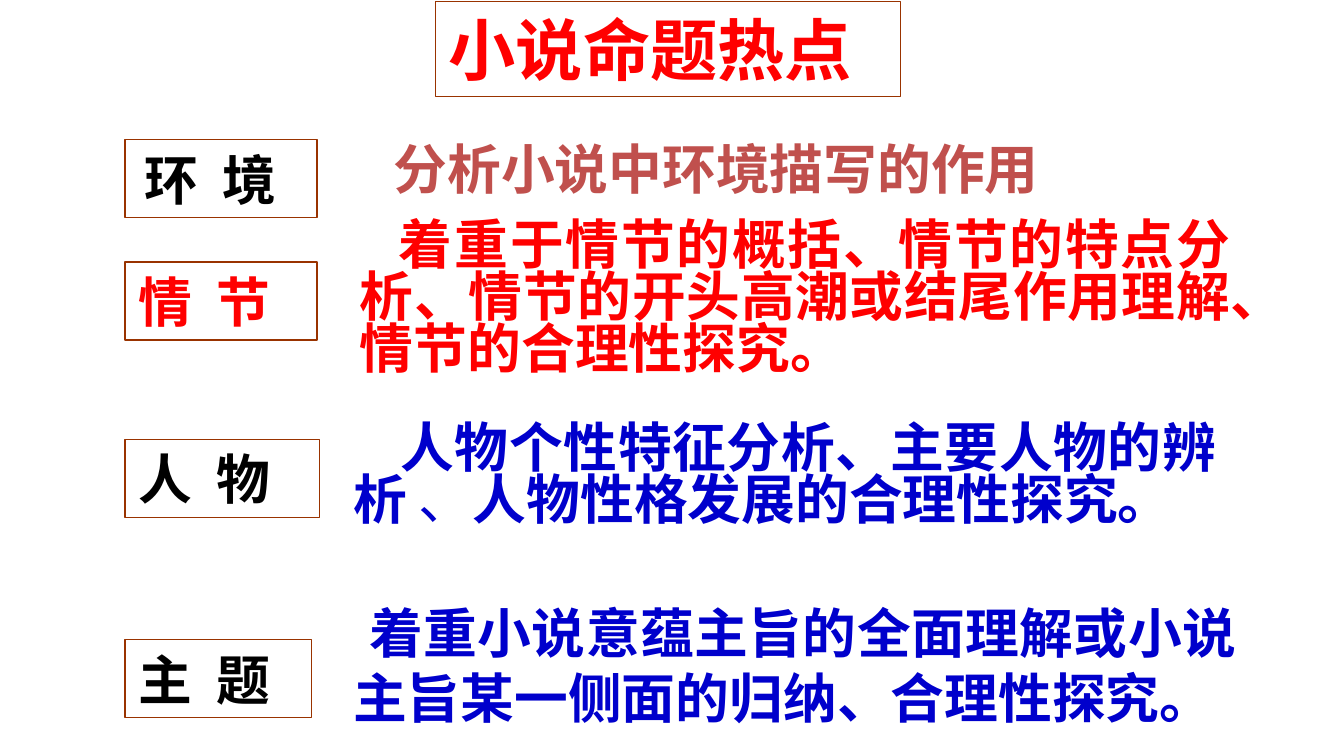
from dataclasses import dataclass

from lxml.etree import SubElement
from pptx import Presentation
from pptx.dml.color import RGBColor
from pptx.enum.shapes import MSO_SHAPE
from pptx.enum.text import MSO_ANCHOR as Anchor, PP_ALIGN as Align
from pptx.oxml.ns import qn
from pptx.util import Inches, Pt


@dataclass(frozen=True)
class Theme:
    latin: str = "Arial"
    chinese: str = "Noto Sans CJK SC"
    title_size: float = 36
    text_size: float = 28.8
    border_width: float = 0.75
    paper: str = "FFFFFF"
    border: str = "993300"
    black: str = "000000"
    red: str = "FF0000"
    rose: str = "C0504D"
    blue: str = "0000CC"


THEME = Theme()
WIDTH = 10
HEIGHT = WIDTH * 9 / 16
LABEL_LEFT, LABEL_HEIGHT = 0.93, 0.58

# Content: boxes are (left, top, width, height); runs are (text, bold)
TITLE = ("小说命题热点", (3.24, 0.01, 3.46, 0.71))

# Labels: text, colour, top, width, first-line indent
LABELS = [
    ("环  境", THEME.black, 1.04, 1.43, 0.05),
    ("情  节", THEME.red, 1.95, 1.43, 0),
    ("人  物", THEME.black, 3.27, 1.45, 0),
    ("主  题", THEME.black, 4.76, 1.39, 0),
]

# Explanations: runs, colour, box, first-line indent, line spacing
EXPLANATIONS = [
    ([("分析小说中环境描写的作用", True)],
     THEME.rose, (2.67, 0.96, 5.38, 0.58), 0.16, 1),
    ([("着重于情节的概括、情节的特点分析、情节的开头高潮或结尾作用理解、情节的合理性探究。", True)],
     THEME.red, (2.58, 1.61, 6.68, 1.26), 0.29, 0.8),
    ([("人物个性特征分析、主要人物的辨析", True), (" 、", False),
      ("人物性格发展的合理性探究。", True)],
     THEME.blue, (2.53, 3.12, 6.62, 0.87), 0.35, 0.8),
    ([("着重小说意蕴主旨的全面理解或小说主旨某一侧面的归纳、合理性探究。", True)],
     THEME.blue, (2.53, 4.41, 6.77, 1.07), 0.12, 1),
]


def write(shape, runs, color, size, font, indent=0, spacing=1):
    """Fill a shape with one justified paragraph."""
    frame = shape.text_frame
    frame.word_wrap = True
    frame.vertical_anchor = Anchor.MIDDLE
    paragraph = frame.paragraphs[0]
    paragraph.alignment = Align.JUSTIFY
    paragraph.line_spacing = spacing
    paragraph._p.get_or_add_pPr().set("indent", str(Inches(indent)))
    for text, bold in runs:
        run = paragraph.add_run()
        run.text = text
        run.font.name = font
        run.font.size = Pt(size)
        run.font.bold = bold
        run.font.color.rgb = RGBColor.from_string(color)
        east_asian = SubElement(run.font._element, qn("a:ea"))
        east_asian.set("typeface", THEME.chinese)


def add_framed(slide, text, box, color, size, indent=0):
    shape = slide.shapes.add_shape(MSO_SHAPE.RECTANGLE, *map(Inches, box))
    shape.shadow.inherit = False
    shape.fill.solid()
    shape.fill.fore_color.rgb = RGBColor.from_string(THEME.paper)
    shape.line.color.rgb = RGBColor.from_string(THEME.border)
    shape.line.width = Pt(THEME.border_width)
    write(shape, [(text, True)], color, size, THEME.latin, indent)


def main():
    presentation = Presentation()
    presentation.slide_width = Inches(WIDTH)
    presentation.slide_height = Inches(HEIGHT)
    slide = presentation.slides.add_slide(presentation.slide_layouts[6])

    # Title
    add_framed(slide, *TITLE, THEME.red, THEME.title_size)

    # Topic labels in the left column
    for text, color, top, width, indent in LABELS:
        box = (LABEL_LEFT, top, width, LABEL_HEIGHT)
        add_framed(slide, text, box, color, THEME.text_size, indent)

    # Explanations in the right column
    for runs, color, box, indent, spacing in EXPLANATIONS:
        shape = slide.shapes.add_textbox(*map(Inches, box))
        write(shape, runs, color, THEME.text_size, THEME.chinese, indent, spacing)

    presentation.save("out.pptx")


if __name__ == "__main__":
    main()
